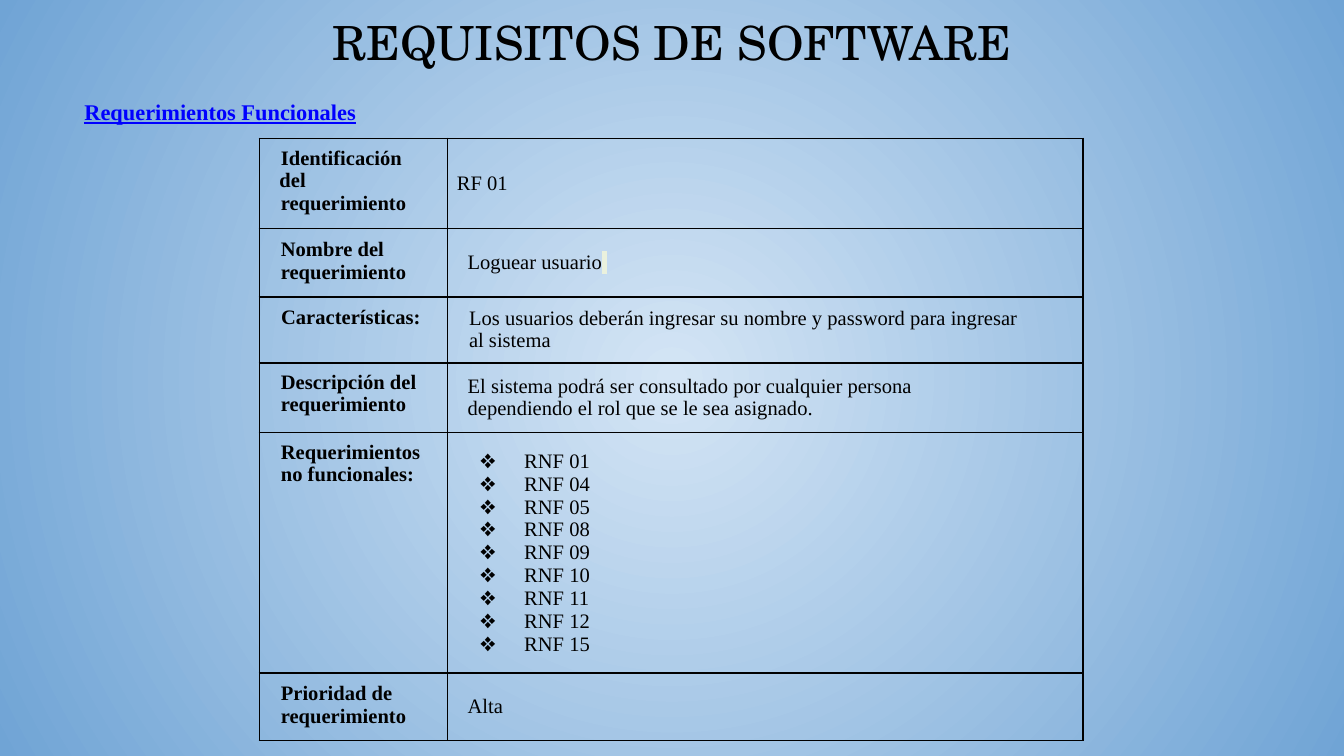
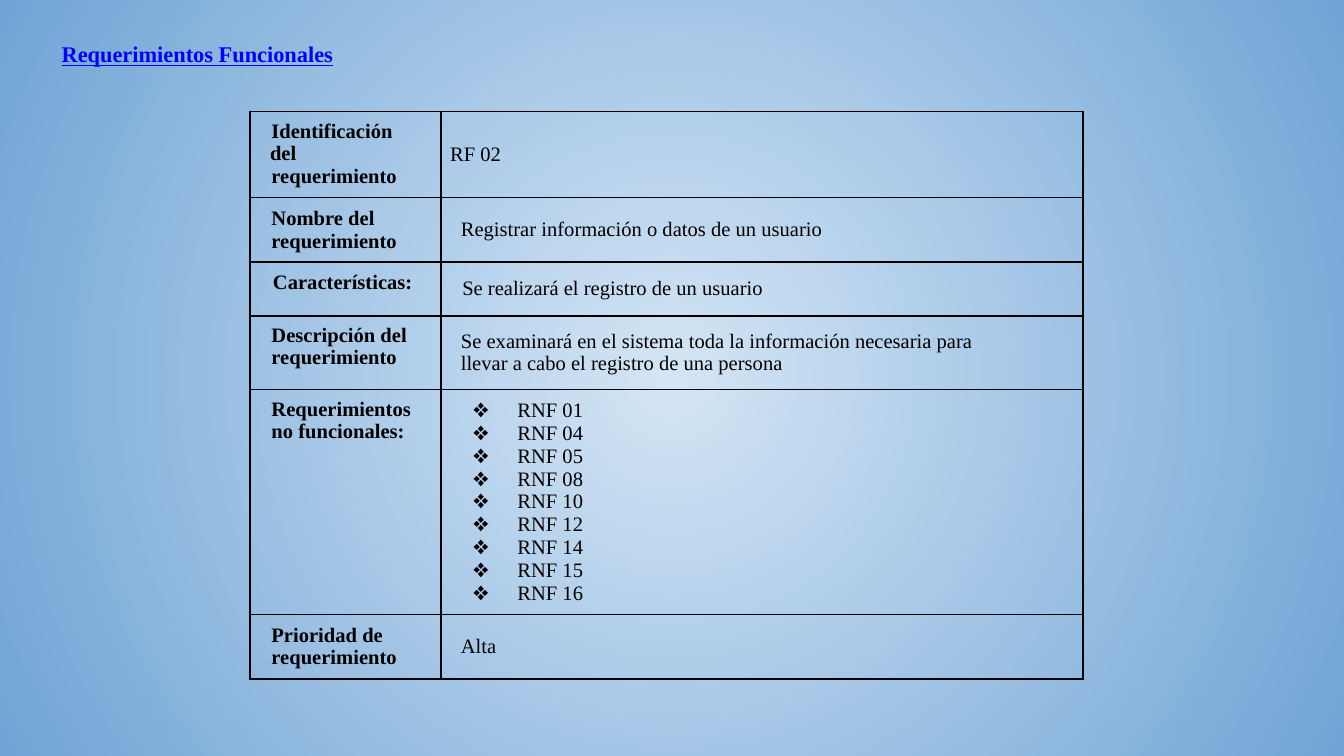
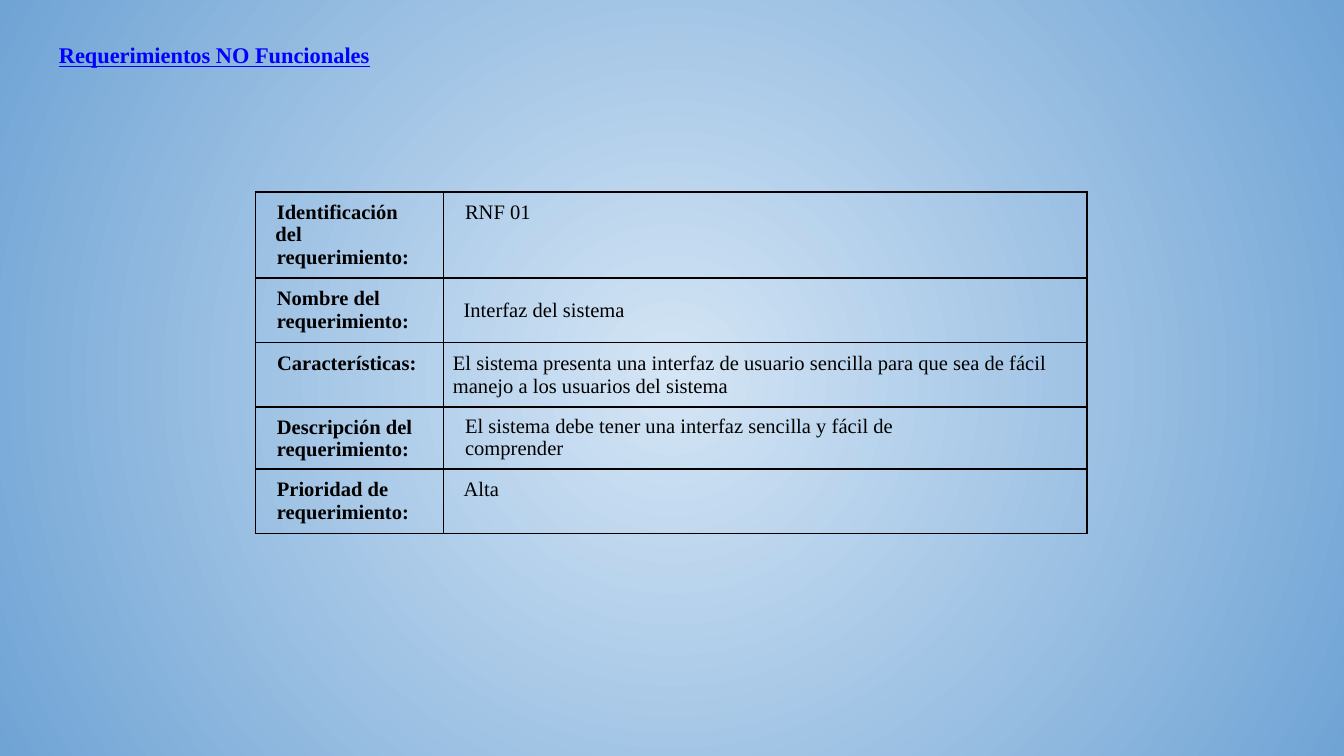
from dataclasses import dataclass

from lxml.etree import SubElement
from pptx import Presentation
from pptx.dml.color import RGBColor
from pptx.enum.text import MSO_ANCHOR as Anchor, PP_ALIGN as Align
from pptx.oxml import parse_xml
from pptx.oxml.ns import nsdecls, qn
from pptx.util import Inches, Pt

BLACK, LINK_BLUE, HIGHLIGHT = "000000", "0000FF", "EAF1DD"
GLOW, EDGE = "D4E5F5", "70A4D5"
SERIF, TITLE_FONT = "Times New Roman", "TeX Gyre Schola"
BULLET = "❖"


def rgb(value):
    """Turn a hex string into a colour."""
    return RGBColor.from_string(value)


@dataclass
class Line:
    """One paragraph of a table cell; indents are in inches."""
    text: str
    left: float = 0.09
    right: float = 0
    first: float = 0
    spacing: float = 1
    before: float = 0
    align: Align = Align.LEFT
    bullet: bool = False
    marked_end: bool = False


class Deck:
    """Hold the shared style and the slide being built."""

    def __init__(self):
        """Open an empty widescreen presentation."""
        self.presentation = Presentation()
        self.presentation.slide_width = Inches(10)
        self.presentation.slide_height = Inches(10) * 9 // 16
        self.slide = None

    def add_slide(self):
        """Start a slide on the radial blue background."""
        self.slide = self.presentation.slides.add_slide(self.presentation.slide_layouts[6])
        fill = self.slide.background.fill
        fill.gradient()
        for stop, position, color in zip(fill.gradient_stops, (0, 1), (GLOW, EDGE)):
            stop.position = position
            stop.color.rgb = rgb(color)
        gradient = next(self.slide.element.iter(qn("a:gradFill")))
        gradient.replace(gradient.find(qn("a:lin")), parse_xml(
            f'<a:path {nsdecls("a")} path="circle">'
            '<a:fillToRect l="50000" t="50000" r="50000" b="50000"/></a:path>'))

    def style_font(self, font, size, color=BLACK, name=SERIF, bold=False, underline=False):
        """Apply a typeface, size and colour."""
        font.name, font.size, font.bold, font.underline = name, Pt(size), bold, underline
        font.color.rgb = rgb(color)

    def heading(self, text, left, top, width, height, indent, align=Align.LEFT, **style):
        """Place one line of heading text."""
        box = self.slide.shapes.add_textbox(*map(Inches, (left, top, width, height)))
        frame = box.text_frame
        frame.word_wrap = True
        frame.margin_left = frame.margin_right = Inches(0.1)
        frame.margin_top = frame.margin_bottom = Inches(0.1)
        frame.text = text
        paragraph = frame.paragraphs[0]
        paragraph.alignment = align
        self.style_font(paragraph.runs[0].font, **style)
        self.indent(paragraph, indent)

    def title(self, text):
        """Place the centred presentation title."""
        self.heading(text, 0.34, 0, 9.32, 0.63, 0, Align.CENTER, size=25.2, name=TITLE_FONT)

    def section(self, text, left, top, width, height, indent=0.02):
        """Place an underlined section heading."""
        self.heading(text, left, top, width, height, indent,
                     size=12, color=LINK_BLUE, bold=True, underline=True)

    def indent(self, paragraph, left, first=0, right=0):
        """Set the paragraph margins in inches and return its properties."""
        properties = paragraph._p.get_or_add_pPr()
        for key, length in (("marL", left), ("marR", right), ("indent", first)):
            properties.set(key, str(Inches(length)))
        return properties

    def write_line(self, paragraph, line, bold):
        """Fill a cell paragraph from a Line."""
        paragraph.text = line.text
        paragraph.alignment = line.align
        paragraph.line_spacing = line.spacing
        paragraph.space_before = Pt(line.before)
        if line.marked_end:
            paragraph.add_run().text = " "
        for run in paragraph.runs:
            self.style_font(run.font, 11, bold=bold)
        if line.marked_end:
            paragraph.runs[-1].font._element.find(qn("a:solidFill")).addnext(parse_xml(
                f'<a:highlight {nsdecls("a")}><a:srgbClr val="{HIGHLIGHT}"/></a:highlight>'))
        properties = self.indent(paragraph, line.left, line.first, line.right)
        if line.bullet:
            color = SubElement(properties, qn("a:buClr"))
            SubElement(color, qn("a:srgbClr"), val=BLACK)
            SubElement(properties, qn("a:buFont"), typeface=SERIF)
            SubElement(properties, qn("a:buChar"), char=BULLET)

    def border(self, cell):
        """Draw a thin black line on every side of a cell."""
        properties = cell._tc.get_or_add_tcPr()
        for position, side in enumerate(("lnL", "lnR", "lnT", "lnB")):
            properties.insert(position, parse_xml(
                f'<a:{side} {nsdecls("a")} w="{Pt(1)}"><a:solidFill>'
                f'<a:srgbClr val="{BLACK}"/></a:solidFill></a:{side}>'))

    def write_cell(self, cell, lines, bold, anchor):
        """Write paragraphs into a transparent bordered cell."""
        cell.fill.background()
        self.border(cell)
        cell.margin_left = cell.margin_right = Inches(0.07)
        top, bottom = (0.07, 0.02) if anchor == Anchor.TOP else (0.01, 0.01)
        cell.margin_top, cell.margin_bottom = Inches(top), Inches(bottom)
        cell.vertical_anchor = anchor
        frame = cell.text_frame
        for number, line in enumerate(lines):
            paragraph = frame.add_paragraph() if number else frame.paragraphs[0]
            self.write_line(paragraph, line, bold)

    def requirement(self, left, top, widths, heights, labels, values, top_rows=()):
        """Place a requirement card as a two-column table."""
        table = self.slide.shapes.add_table(
            len(heights), 2, Inches(left), Inches(top),
            Inches(sum(widths)), Inches(sum(heights))).table
        table.first_row = table.horz_banding = False
        for column, width in zip(table.columns, widths):
            column.width = Inches(width)
        for number, (height, label, value) in enumerate(zip(heights, labels, values)):
            table.rows[number].height = Inches(height)
            anchor = Anchor.TOP if number in top_rows else Anchor.MIDDLE
            self.write_cell(table.cell(number, 0), label, True, Anchor.TOP)
            self.write_cell(table.cell(number, 1), value, False, anchor)


def card_labels(ending="", with_related=True):
    """List the left-column labels of a requirement card."""
    requirement = "requerimiento" + ending
    labels = [
        [Line("Identificación del", 0.08, 0.2, 0.01, 0.96), Line(requirement, before=0.3)],
        [Line("Nombre del"), Line(requirement)],
        [Line("Características: ", 0, align=Align.CENTER)],
        [Line("Descripción del " + requirement, spacing=0.96)],
        [Line("Prioridad de"), Line(requirement)],
    ]
    if with_related:
        labels.insert(4, [Line("Requerimientos no funcionales:", spacing=0.96)])
    return labels


def functional_values(code, name, feature, description, related, marked_name=False):
    """List the right-column values of a functional requirement."""
    return [
        [Line(code, 0)],
        [Line(name, 0.08, marked_end=marked_name)],
        [Line(feature, right=0.35, spacing=0.96)],
        [Line(description, 0.08, 0.68, spacing=0.96)],
        [Line(f"RNF {number:02}", 0.5, first=-0.33, bullet=True) for number in related],
        [Line("Alta", 0.08)],
    ]


def main():
    """Build the three requirement slides."""
    deck = Deck()

    deck.add_slide()
    deck.title("REQUISITOS DE SOFTWARE")
    deck.section("Requerimientos Funcionales", 0.51, 0.63, 6.01, 0.4)
    deck.requirement(
        1.93, 1.03, (1.4, 4.73), (0.67, 0.51, 0.49, 0.52, 1.79, 0.5), card_labels(),
        functional_values(
            "RF 01", "Loguear usuario",
            "Los usuarios deberán ingresar su nombre y password para ingresar al sistema",
            "El sistema podrá ser consultado por cualquier persona dependiendo el rol "
            "que se le sea asignado.",
            (1, 4, 5, 8, 9, 10, 11, 12, 15), marked_name=True))

    deck.add_slide()
    deck.section("Requerimientos Funcionales", 0.34, 0.2, 9.32, 0.63)
    deck.requirement(
        1.86, 0.83, (1.42, 4.78), (0.64, 0.48, 0.4, 0.55, 1.67, 0.48), card_labels(),
        functional_values(
            "RF 02", "Registrar información o datos de un usuario",
            "Se realizará el registro de un usuario",
            "Se examinará en el sistema toda la información necesaria para llevar a cabo "
            "el registro de una persona",
            (1, 4, 5, 8, 10, 12, 14, 15, 16)))

    deck.add_slide()
    deck.requirement(
        1.9, 1.43, (1.4, 4.79), (0.64, 0.48, 0.48, 0.46, 0.48),
        card_labels(":", with_related=False),
        [
            [Line("RNF 01")],
            [Line("Interfaz del sistema", 0.08)],
            [Line("El sistema presenta una interfaz de usuario sencilla para que sea de "
                  "fácil manejo a los usuarios del sistema", 0)],
            [Line("El sistema debe tener una interfaz sencilla y fácil de comprender",
                  right=0.68, spacing=0.96)],
            [Line("Alta", 0.08)],
        ],
        top_rows=(0, 2, 4))
    deck.section("Requerimientos NO Funcionales", 0.33, 0.21, 9.05, 0.4, 0.01)

    deck.presentation.save("out.pptx")


if __name__ == "__main__":
    main()
